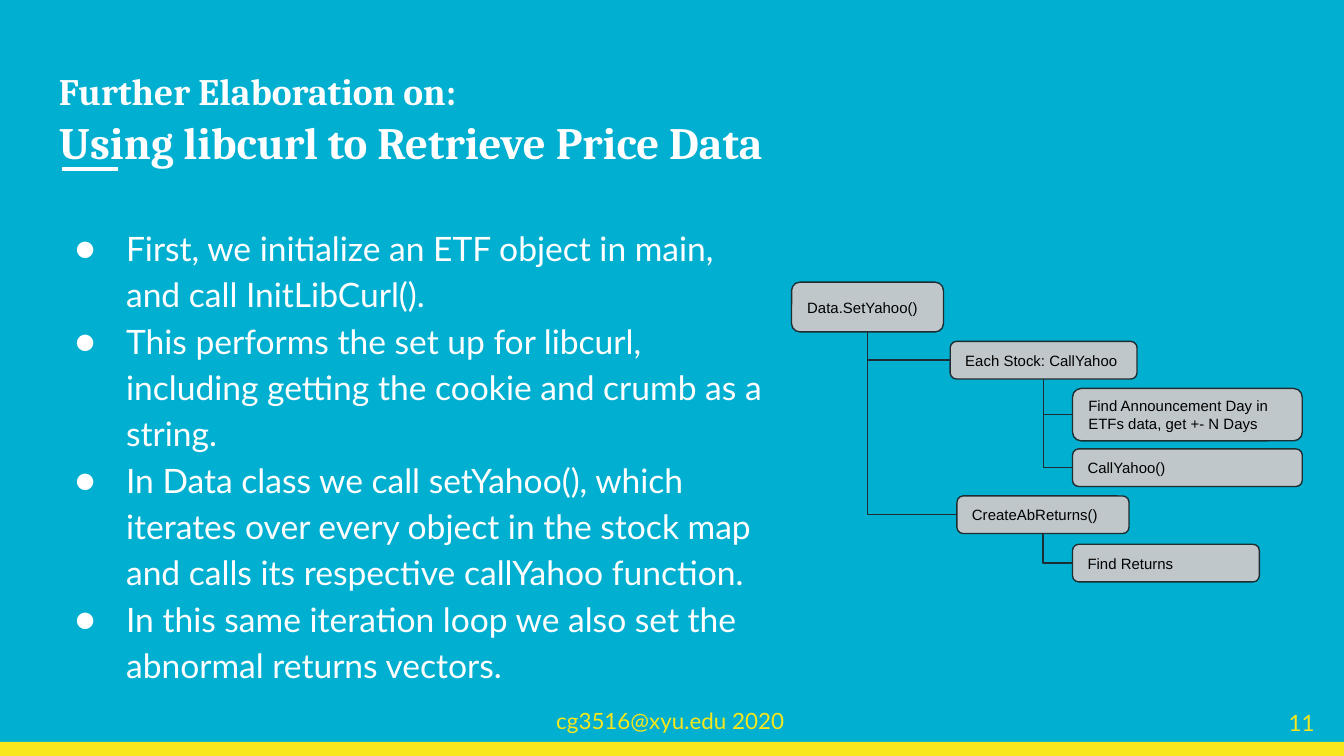
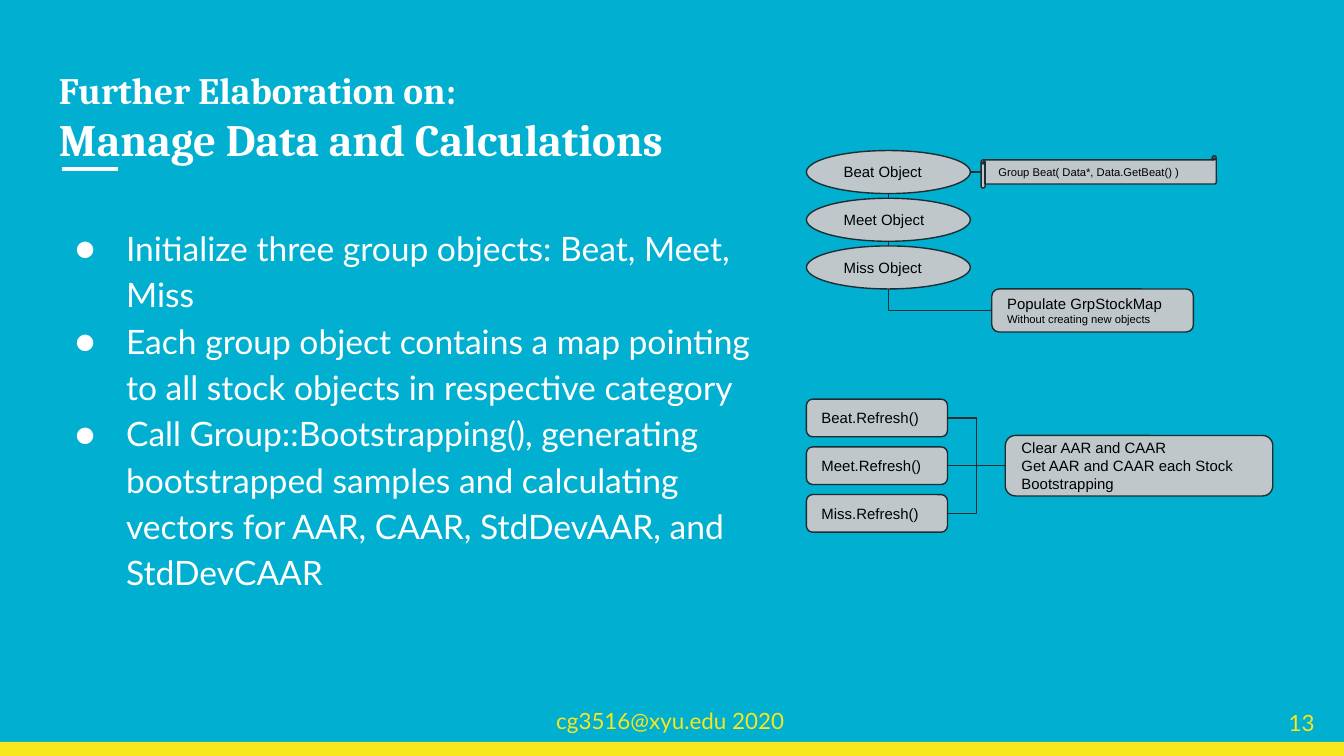
import lxml.etree
import pptx
import pptx.dml.color
import pptx.enum.shapes
import pptx.enum.text
import pptx.oxml.ns
import pptx.util

Inches = pptx.util.Inches
Pt = pptx.util.Pt
SHAPE = pptx.enum.shapes.MSO_SHAPE
CONNECTOR = pptx.enum.shapes.MSO_CONNECTOR
ANCHOR = pptx.enum.text.MSO_ANCHOR
ALIGN = pptx.enum.text.PP_ALIGN

BLUE, YELLOW, WHITE, BLACK = "01AFD1", "F8E71C", "FFFFFF", "000000"
GREY, INK = "BFC7CA", "1E2D31"
SIDES = ["top", "left", "bottom", "right"]


def color(value):
    """Turn a hex string into a colour."""
    return pptx.dml.color.RGBColor.from_string(value)


def sub(parent, tag, **attrs):
    """Append an XML child with a prefixed tag."""
    return lxml.etree.SubElement(parent, pptx.oxml.ns.qn(tag), attrs)


def fill_text(sp, paragraphs, font, ink, bold=False, anchor=ANCHOR.TOP, align=ALIGN.LEFT):
    """Write paragraphs, each a list of (text, size) runs, into a shape."""
    tf = sp.text_frame
    tf.word_wrap = True
    tf.vertical_anchor = anchor
    tf.margin_left = tf.margin_right = tf.margin_top = tf.margin_bottom = Inches(0.1)
    for i, runs in enumerate(paragraphs):
        p = tf.add_paragraph() if i else tf.paragraphs[0]
        p.alignment = align
        for text, size in runs:
            r = p.add_run()
            r.text = text
            r.font.name = font
            r.font.size = Pt(size)
            r.font.bold = bold
            r.font.color.rgb = color(ink)
    return tf


def add_text(s, box, paragraphs, font, ink, **style):
    """Add a text box."""
    sp = s.shapes.add_textbox(*map(Inches, box))
    return fill_text(sp, paragraphs, font, ink, **style)


def add_bullets(s, items):
    """Add the bulleted body text."""
    tf = add_text(s, (0.34, 1.55, 5.46, 3.45), [[(item, 18)] for item in items], "Lato", WHITE)
    for p in tf.paragraphs:
        p.line_spacing = 1.15
        pPr = p._p.get_or_add_pPr()
        pPr.set("marL", str(Inches(0.5)))
        pPr.set("indent", str(Inches(-0.38)))
        sub(sub(pPr, "a:buClr"), "a:srgbClr", val=WHITE)
        sub(pPr, "a:buFont", typeface="Lato")
        sub(pPr, "a:buChar", char="●")


def add_shape(s, kind, box, fill, line=None):
    """Add a flat preset shape."""
    sp = s.shapes.add_shape(kind, *map(Inches, box))
    sp.shadow.inherit = False
    sp.fill.solid()
    sp.fill.fore_color.rgb = color(fill)
    if line:
        sp.line.color.rgb = color(line)
        sp.line.width = Pt(0.75)
    else:
        sp.line.fill.background()
    return sp


def add_node(s, box, *lines, kind=SHAPE.ROUNDED_RECTANGLE, size=8):
    """Add a diagram node whose lines are strings or (text, size) pairs."""
    sp = add_shape(s, kind, box, GREY, INK)
    rows = [[(line, size) if isinstance(line, str) else line] for line in lines]
    fill_text(sp, rows, "Arial", BLACK, anchor=ANCHOR.MIDDLE)
    return sp


def add_line(s, kind, start, end, ink, width):
    """Add a connector without a shadow."""
    cx = s.shapes.add_connector(kind, *start, *end)
    cx.line.color.rgb = color(ink)
    cx.line.width = Pt(width)
    sub(cx._element.spPr, "a:effectLst")
    return cx


def side_point(sp, side):
    """Return the midpoint of one side of a shape."""
    x = {"left": 0, "right": sp.width}.get(side, sp.width // 2)
    y = {"top": 0, "bottom": sp.height}.get(side, sp.height // 2)
    return sp.left + x, sp.top + y


def link(s, a, a_side, b, b_side, kind=CONNECTOR.STRAIGHT):
    """Join the sides of two nodes with an attached connector."""
    cx = add_line(s, kind, side_point(a, a_side), side_point(b, b_side), INK, 0.75)
    props = cx._element.nvCxnSpPr.cNvCxnSpPr
    for tag, sp, side in (("a:stCxn", a, a_side), ("a:endCxn", b, b_side)):
        step = 2 if sp.auto_shape_type == SHAPE.OVAL else 1
        sub(props, tag, id=str(sp.shape_id), idx=str(SIDES.index(side) * step))
    return cx


def link_branch(s, parent, child):
    """Join a parent's bottom to a child's left side by a single bend."""
    cx = link(s, parent, "bottom", child, "left", CONNECTOR.ELBOW)
    w, h = cx.width, cx.height
    cx.left, cx.top = cx.left + (w - h) // 2, cx.top + (h - w) // 2
    cx.width, cx.height = h, w
    spPr = cx._element.spPr
    spPr.xfrm.set("rot", "16200000")
    spPr.xfrm.set("flipH", "1")
    spPr.find(pptx.oxml.ns.qn("a:prstGeom")).set("prst", "bentConnector2")


def add_slide(prs, number, title, title_top, bullets):
    """Add a slide with the shared band, rule, footer, title and body."""
    s = prs.slides.add_slide(prs.slide_layouts[6])
    s.background.fill.solid()
    s.background.fill.fore_color.rgb = color(BLUE)
    add_shape(s, SHAPE.RECTANGLE, (0, 5.52, 10, 0.11), YELLOW)
    add_line(s, CONNECTOR.STRAIGHT, (Inches(0.46), Inches(1.26)),
             (Inches(0.88), Inches(1.26)), WHITE, 2.25)
    add_text(s, (4.04, 5.16, 1.92, 0.32), [[("cg3516@xyu.edu 2020", 12)]], "Lato", YELLOW)
    add_bullets(s, bullets)
    add_text(s, (0.34, title_top, 9.32, 0.71), title, "Cambria", WHITE, bold=True)
    add_text(s, (9.46, 5.16, 0.42, 0.43), [[(number, 12)]], "Lato", YELLOW,
             anchor=ANCHOR.MIDDLE, align=ALIGN.RIGHT)
    return s


def add_price_slide(prs):
    """Add the slide on retrieving prices, with its call tree."""
    title = [[("Further Elaboration on:", 20), (" ", 24)],
             [("Using libcurl to Retrieve Price Data", 24)]]
    s = add_slide(prs, "11", title, 0.35, [
        "First, we initialize an ETF object in main, and call InitLibCurl().",
        "This performs the set up for libcurl, including getting the cookie and crumb as a string.",
        "In Data class we call setYahoo(), which iterates over every object in the stock map "
        "and calls its respective callYahoo function.",
        "In this same iteration loop we also set the abnormal returns vectors.",
    ])
    root = add_node(s, (5.89, 2.1, 1.13, 0.37), "Data.SetYahoo()")
    stock = add_node(s, (7.07, 2.54, 1.39, 0.28), "Each Stock: CallYahoo")
    day = add_node(s, (7.98, 2.89, 1.71, 0.39),
                   "Find Announcement Day in ETFs data, get +- N Days")
    call = add_node(s, (7.98, 3.34, 1.71, 0.28), "CallYahoo()")
    create = add_node(s, (7.12, 3.69, 1.28, 0.28), "CreateAbReturns()")
    find = add_node(s, (7.98, 4.05, 1.39, 0.28), "Find Returns")
    for parent, child in ((root, stock), (root, create), (stock, day),
                          (stock, call), (create, find)):
        link_branch(s, parent, child)


def add_group_slide(prs):
    """Add the slide on group objects, with its two diagrams."""
    title = [[("Further Elaboration on:", 20)], [("Manage Data and Calculations", 24)]]
    s = add_slide(prs, "13", title, 0.4, [
        "Initialize three group objects: Beat, Meet, Miss",
        "Each group object contains a map pointing to all stock objects in respective category",
        "Call Group::Bootstrapping(), generating bootstrapped samples and calculating "
        "vectors for AAR, CAAR, StdDevAAR, and StdDevCAAR",
    ])
    names = ["Beat", "Meet", "Miss"]
    pitch = 0.71 / 2
    groups = [add_node(s, (6, 1.12 + i * pitch, 1.22, 0.32), f"{name} Object", kind=SHAPE.OVAL)
              for i, name in enumerate(names)]
    scroll = add_node(s, (7.3, 1.16, 1.75, 0.24), "Group Beat( Data*, Data.GetBeat() )",
                      kind=SHAPE.HORIZONTAL_SCROLL, size=6)
    populate = add_node(s, (7.38, 2.15, 1.5, 0.32), "Populate GrpStockMap",
                        ("Without creating new objects", 6))
    link_branch(s, groups[-1], populate)
    for upper, lower in zip(groups, groups[1:]):
        link(s, lower, "top", upper, "bottom")
    link(s, groups[0], "right", scroll, "left")

    refreshes = [add_node(s, (6, 2.97 + i * pitch, 1.05, 0.28), f"{name}.Refresh()")
                 for i, name in enumerate(names)]
    steps = add_node(s, (7.48, 3.24, 1.99, 0.45), "Clear AAR and CAAR",
                     "Get AAR and CAAR each Stock", "Bootstrapping")
    for refresh, kind in zip(refreshes, (CONNECTOR.ELBOW, CONNECTOR.STRAIGHT, CONNECTOR.ELBOW)):
        link(s, refresh, "right", steps, "left", kind)


def main():
    """Build and save the presentation."""
    prs = pptx.Presentation()
    prs.slide_width = Inches(10)
    prs.slide_height = prs.slide_width * 9 // 16
    add_price_slide(prs)
    add_group_slide(prs)
    prs.save("out.pptx")


if __name__ == "__main__":
    main()
